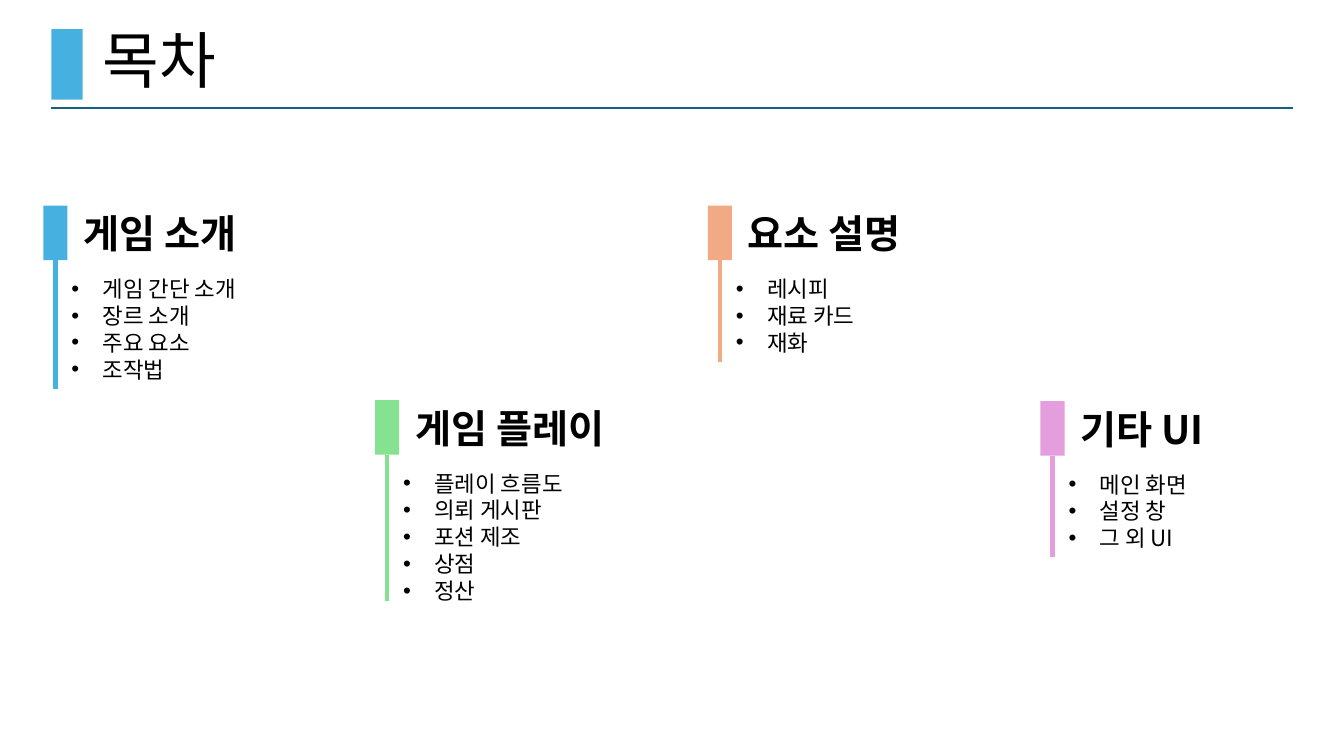
from dataclasses import dataclass

from lxml import etree
from pptx import Presentation
from pptx.dml.color import RGBColor
from pptx.enum.shapes import MSO_CONNECTOR, MSO_SHAPE
from pptx.enum.text import MSO_ANCHOR, PP_ALIGN
from pptx.oxml.ns import qn
from pptx.util import Pt

TITLE = "목차"
# heading, top, stem length, colour, items
SECTIONS = [
    ("게임 소개", 204, 128, "46B1E1",
     ["게임 간단 소개", "장르 소개", "주요 요소", "조작법"]),
    ("게임 플레이", 397, 145, "84E291",
     ["플레이 흐름도", "의뢰 게시판", "포션 제조", "상점", "정산"]),
    ("요소 설명", 204, 101, "F2AA84",
     ["레시피", "재료 카드", "재화"]),
    ("기타 UI", 398, 101, "E59EDD",
     ["메인 화면", "설정 창", "그 외 UI"]),
]

PX = 9144  # 100 px to the inch
FIRST_LEFT, COLUMN_STEP = 43, 329.5
MARK_WIDTH, MARK_HEIGHT = 24, 54
HEADING_DX, HEADING_DY, HEADING_HEIGHT = 30, -1, 57
LIST_DX, LIST_DY, LIST_WIDTH = 18, 64, 244
LINE_HEIGHT, LIST_PADDING, INDENT = 27, 10, 31

RECTANGLE = MSO_SHAPE.RECTANGLE
STRAIGHT = MSO_CONNECTOR.STRAIGHT
MIDDLE = MSO_ANCHOR.MIDDLE
LEFT = PP_ALIGN.LEFT


@dataclass(frozen=True)
class Theme:
    font: str = "Noto Sans CJK KR"
    text: str = "000000"
    accent: str = "46B1E1"
    rule: str = "156082"
    title_size: int = 44
    heading_size: int = 28
    item_size: int = 16
    rule_width: float = 1.5
    stem_width: int = 3


THEME = Theme()


def emu(*lengths):
    return [round(length * PX) for length in lengths]


def style(para, size, bold=False):
    para.alignment = LEFT
    font = para.font
    font.size, font.bold, font.name = Pt(size), bold, THEME.font
    font.color.rgb = RGBColor.from_string(THEME.text)
    latin = font._element.find(qn("a:latin"))
    east_asian = etree.Element(qn("a:ea"), typeface=THEME.font)
    latin.addnext(east_asian)


def add_bullet(para):
    properties = para._p.get_or_add_pPr()
    indent = emu(INDENT)[0]
    properties.set("marL", str(indent))
    properties.set("indent", str(-indent))
    etree.SubElement(properties, qn("a:buFont"), typeface="Arial")
    etree.SubElement(properties, qn("a:buChar"), char="•")


def add_block(page, left, top, width, height, colour):
    block = page.shapes.add_shape(RECTANGLE, *emu(left, top, width, height))
    block.shadow.inherit = False
    block.fill.solid()
    block.fill.fore_color.rgb = RGBColor.from_string(colour)
    block.line.fill.background()


def add_line(page, x1, y1, x2, y2, colour, width):
    line = page.shapes.add_connector(STRAIGHT, *emu(x1, y1, x2, y2))
    line.line.color.rgb = RGBColor.from_string(colour)
    line.line.width = Pt(width)
    etree.SubElement(line._element.spPr, qn("a:effectLst"))


def add_title(page):
    title = page.shapes.title
    title.left, title.top, title.width, title.height = emu(92, 18, 1150, 90)
    title.text_frame.vertical_anchor = MIDDLE
    para = title.text_frame.paragraphs[0]
    para.text = TITLE
    para.line_spacing = 0.9
    style(para, THEME.title_size)


def add_section(page, left, heading, top, stem, colour, items):
    height = len(items) * LINE_HEIGHT + LIST_PADDING
    box = page.shapes.add_textbox(
        *emu(left + LIST_DX, top + LIST_DY, LIST_WIDTH, height))
    frame = box.text_frame
    frame.word_wrap = True
    for index, item in enumerate(items):
        para = frame.add_paragraph() if index else frame.paragraphs[0]
        para.text = item
        add_bullet(para)
        style(para, THEME.item_size)

    add_block(page, left, top, MARK_WIDTH, MARK_HEIGHT, colour)
    box = page.shapes.add_textbox(
        *emu(left + HEADING_DX, top + HEADING_DY, LIST_WIDTH, HEADING_HEIGHT))
    box.text_frame.word_wrap = True
    para = box.text_frame.paragraphs[0]
    para.text = heading
    style(para, THEME.heading_size, bold=True)

    center, bottom = left + MARK_WIDTH / 2, top + MARK_HEIGHT
    add_line(page, center, bottom, center, bottom + stem, colour,
             THEME.stem_width)


def main():
    deck = Presentation()
    deck.slide_width, deck.slide_height = emu(1333, 750)
    page = deck.slides.add_slide(deck.slide_layouts[5])
    add_title(page)
    add_line(page, 51, 107, 1282, 107, THEME.rule, THEME.rule_width)
    add_block(page, 51, 29, 31, 70, THEME.accent)
    for column, section in enumerate(SECTIONS):
        add_section(page, round(FIRST_LEFT + column * COLUMN_STEP), *section)
    deck.save("out.pptx")


if __name__ == "__main__":
    main()
